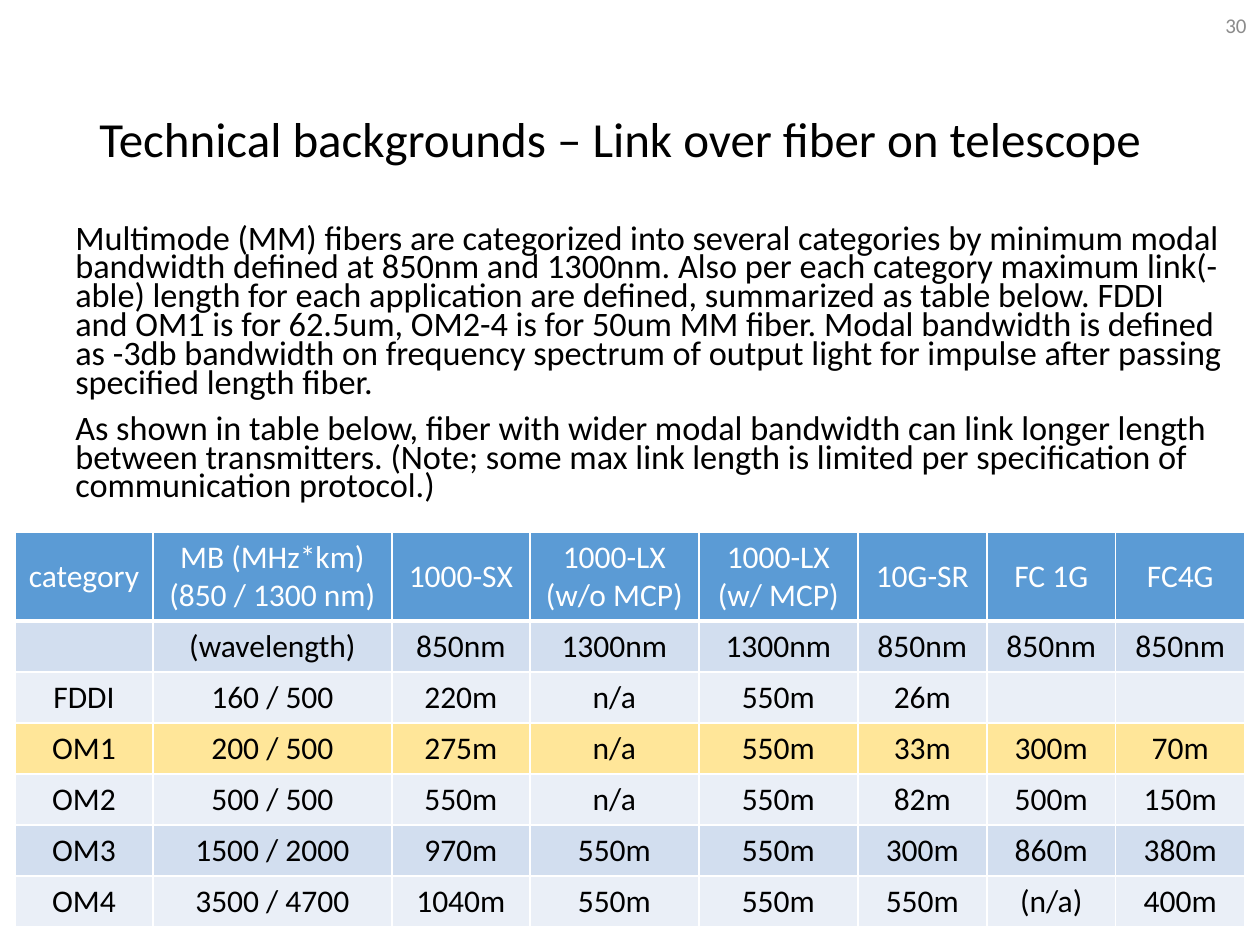
"""Build the slide on multimode fiber link lengths."""
import pptx
import pptx.util
import pptx.dml.color
import pptx.enum.text
import pptx.oxml.ns
import lxml.etree

PX = 914400 // 126
HUES = {"ink": "000000", "gray": "8C8C8C", "white": "FFFFFF", "head": "5B9BD5",
        "dark": "D2DEEF", "light": "EAEFF7", "mark": "FFE699"}
ALIGN = pptx.enum.text.PP_ALIGN
ANCHOR = pptx.enum.text.MSO_ANCHOR


def style(para, size, hue, align):
    para.font.name = "Calibri"
    para.font.size = pptx.util.Pt(size)
    para.font.color.rgb = pptx.dml.color.RGBColor.from_string(HUES[hue])
    para.alignment = align


def border(cell, side, width):
    props = cell._tc.get_or_add_tcPr()
    name = pptx.oxml.ns.qn
    line = lxml.etree.SubElement(props, name("a:ln" + side), w=str(pptx.util.Pt(width)))
    fill = lxml.etree.SubElement(line, name("a:solidFill"))
    lxml.etree.SubElement(fill, name("a:srgbClr"), val=HUES["white"])


deck = pptx.Presentation()
deck.slide_width = 1260 * PX
deck.slide_height = 945 * PX
slide = deck.slides.add_slide(deck.slide_layouts[6])

title = "Technical backgrounds – Link over fiber on telescope"
body = [
    "Multimode (MM) fibers are categorized into several categories by minimum modal "
    "bandwidth defined at 850nm and 1300nm. Also per each category maximum link(-able) "
    "length for each application are defined, summarized as table below. FDDI and OM1 is "
    "for 62.5um, OM2-4 is for 50um MM fiber. Modal bandwidth is defined as -3db bandwidth "
    "on frequency spectrum of output light for impulse after passing specified length fiber.",
    "As shown in table below, fiber with wider modal bandwidth can link longer length "
    "between transmitters. (Note; some max link length is limited per specification of "
    "communication protocol.)",
]
texts = [
    ((87, 50, 1086, 183), [title], 28, "ink", ALIGN.LEFT, ANCHOR.MIDDLE, 0.9, 0),
    ((63, 221, 1172, 301), body, 19.6, "ink", ALIGN.LEFT, ANCHOR.TOP, 0.7, 10),
    ((975, 0, 284, 50), ["30"], 12, "gray", ALIGN.RIGHT, ANCHOR.MIDDLE, 1.0, 0),
]
for place, lines, size, hue, align, anchor, pitch, gap in texts:
    frame = slide.shapes.add_textbox(*[n * PX for n in place]).text_frame
    frame.word_wrap = True
    frame.vertical_anchor = anchor
    frame.text = "\n".join(lines)
    for para in frame.paragraphs:
        style(para, size, hue, align)
        para.line_spacing = pitch
        para.space_before = pptx.util.Pt(gap)

rows = [
    ("head", ["category", "MB (MHz*km)\n(850 / 1300 nm)", "1000-SX", "1000-LX\n(w/o MCP)",
              "1000-LX\n(w/ MCP)", "10G-SR", "FC 1G", "FC4G"]),
    ("dark", ["", "(wavelength)", "850nm", "1300nm", "1300nm", "850nm", "850nm", "850nm"]),
    ("light", ["FDDI", "160 / 500", "220m", "n/a", "550m", "26m", "", ""]),
    ("mark", ["OM1", "200 / 500", "275m", "n/a", "550m", "33m", "300m", "70m"]),
    ("light", ["OM2", "500 / 500", "550m", "n/a", "550m", "82m", "500m", "150m"]),
    ("dark", ["OM3", "1500 / 2000", "970m", "550m", "550m", "300m", "860m", "380m"]),
    ("light", ["OM4", "3500 / 4700", "1040m", "550m", "550m", "550m", "(n/a)", "400m"]),
]
widths = [138, 239, 138, 169, 159, 129, 129, 129]
heights = [89] + [51] * 6
table = slide.shapes.add_table(len(rows), len(widths), 15 * PX, 532 * PX,
                               sum(widths) * PX, sum(heights) * PX).table
for col, width in zip(table.columns, widths):
    col.width = width * PX
for row, height, (shade, words) in zip(table.rows, heights, rows):
    row.height = height * PX
    top = shade == "head"
    for cell, word in zip(row.cells, words):
        cell.text = word
        cell.vertical_anchor = ANCHOR.MIDDLE
        for para in cell.text_frame.paragraphs:
            style(para, 18, "white" if top else "ink", ALIGN.CENTER)
            para.font.bold = False
        for side in "LRTB":
            border(cell, side, 3 if top and side == "B" else 1)
        cell.fill.solid()
        cell.fill.fore_color.rgb = pptx.dml.color.RGBColor.from_string(HUES[shade])

deck.save("out.pptx")
